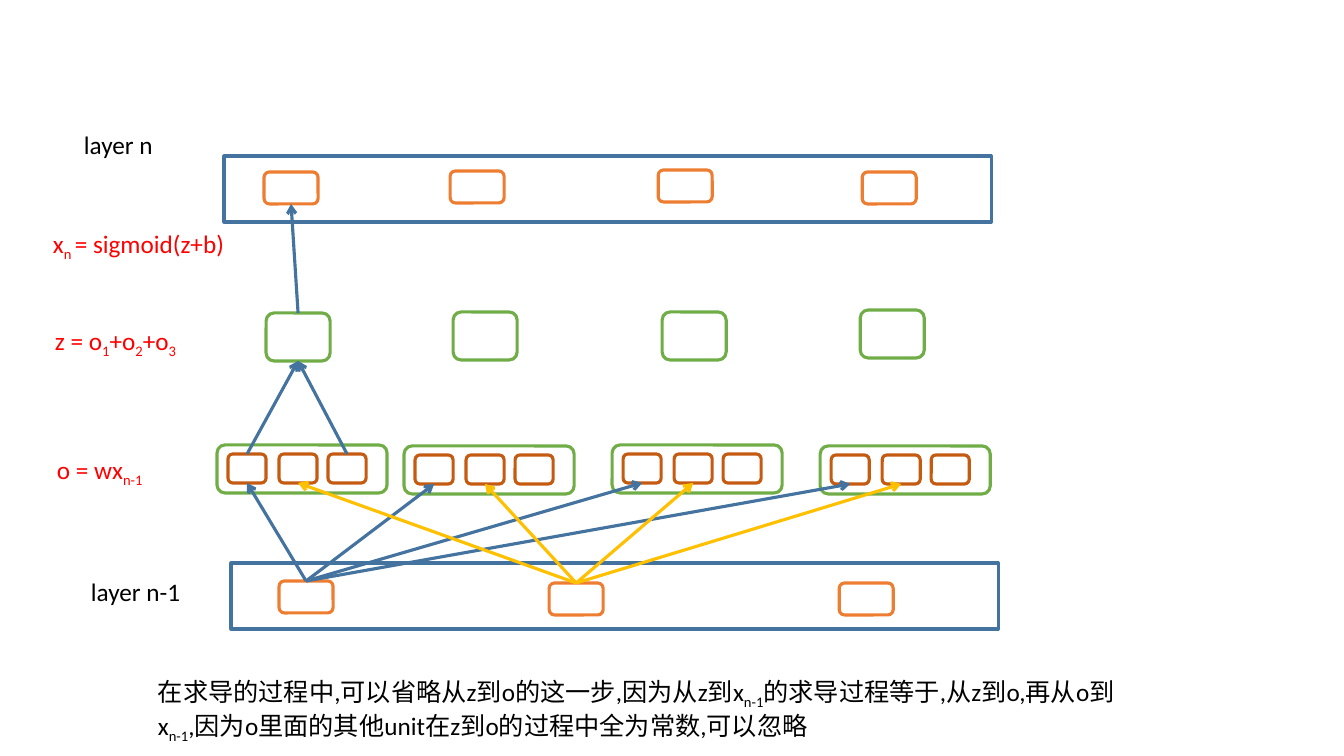
from lxml import etree
from pptx import Presentation
from pptx import util as u
from pptx.dml.color import RGBColor
from pptx.enum import shapes, text
from pptx.oxml.ns import qn

PIXEL = 914400 / 100.8
THEME = {
    "font": "Calibri", "size": 18, "line": 2.25,
    "black": "000000", "red": "FF0000", "blue": "43739E", "yellow": "FFC000",
    "orange": "ED7D31", "brown": "C55A11", "green": "70AD47",
}

# Content: left, top, width, colour, text; "_{...}" marks a subscript
LABELS = [
    (74, 124, 121, "black", "layer n"),
    (81, 571, 131, "black", "layer n-1"),
    (43, 223, 247, "red", "x_{n }= sigmoid(z+b)"),
    (45, 320, 187, "red", "z = o_{1}+o_{2}+o_{3}"),
    (47, 449, 258, "red", "o = wx_{n-1}"),
    (148, 671, 1003, "black",
     "在求导的过程中,可以省略从z到o的这一步,因为从z到x_{n-1}的求导过程等于,从z到o,"
     "再从o到x_{n-1},因为o里面的其他unit在z到o的过程中全为常数,可以忽略"),
]

# Left and top of every part, by row
LAYER_FRAMES = [(224, 156), (231, 563)]
UPPER_UNITS = [(264, 172), (450, 171), (658, 170), (862, 172)]
LOWER_UNITS = [(279, 581), (549, 583), (839, 583)]
SUM_BOXES = [(266, 313), (453, 312), (662, 312), (860, 310)]
PRODUCT_GROUPS = [(217, 445), (404, 446), (612, 445), (820, 446)]
CELL_OFFSETS = [11, 62, 111]
CELL_DROP = 9

FRAME_SIZE, UNIT_SIZE = (767, 66), (54, 32)
SUM_SIZE, GROUP_SIZE, CELL_SIZE = (64, 48), (170, 48), (38, 29)
LABEL_HEIGHT = 42
TOP, BOTTOM = 0, 2  # connection sites

deck = Presentation()
deck.slide_width, deck.slide_height = u.Inches(13.33), u.Inches(7.5)
page = deck.slides.add_slide(deck.slide_layouts[6])


def px(value):
    return u.Emu(round(value * PIXEL))


def color(name):
    return RGBColor.from_string(THEME[name])


def add_outline(place, size, line_color, rounded=True):
    kind = shapes.MSO_SHAPE.ROUNDED_RECTANGLE if rounded else shapes.MSO_SHAPE.RECTANGLE
    box = page.shapes.add_shape(kind, *map(px, (*place, *size)))
    box.shadow.inherit = False
    box.fill.background()
    box.line.color.rgb = color(line_color)
    box.line.width = u.Pt(THEME["line"])
    return box


def add_row(places, size, line_color, rounded=True):
    return [add_outline(place, size, line_color, rounded) for place in places]


def add_arrow(start, start_site, end, end_site, line_color):
    arrow = page.shapes.add_connector(shapes.MSO_CONNECTOR.STRAIGHT, 0, 0, 0, 0)
    arrow.begin_connect(start, start_site)
    arrow.end_connect(end, end_site)
    arrow.line.color.rgb = color(line_color)
    arrow.line.width = u.Pt(THEME["line"])
    etree.SubElement(arrow.line._get_or_add_ln(), qn("a:tailEnd"), type="arrow")
    etree.SubElement(arrow._element.spPr, qn("a:effectLst"))


def add_text(words, *, left, top, width, font_color):
    box = page.shapes.add_textbox(*map(px, (left, top, width, LABEL_HEIGHT)))
    frame = box.text_frame
    frame.word_wrap = True
    frame.auto_size = text.MSO_AUTO_SIZE.SHAPE_TO_FIT_TEXT
    para = frame.paragraphs[0]
    pieces = words.replace("}", "_{").split("_{")
    for index, piece in enumerate(pieces):
        if not piece:
            continue
        span = para.add_run()
        span.text = piece
        span.font.name = THEME["font"]
        span.font.size = u.Pt(THEME["size"])
        span.font.color.rgb = color(font_color)
        if index % 2:
            span._r.get_or_add_rPr().set("baseline", "-25000")


# Layers, sums and products
add_row(LAYER_FRAMES, FRAME_SIZE, "blue", rounded=False)
upper_units = add_row(UPPER_UNITS, UNIT_SIZE, "orange")
lower_units = add_row(LOWER_UNITS, UNIT_SIZE, "orange")
sum_boxes = add_row(SUM_BOXES, SUM_SIZE, "green")
add_row(PRODUCT_GROUPS, GROUP_SIZE, "green")
cells = [
    add_row([(left + offset, top + CELL_DROP) for offset in CELL_OFFSETS], CELL_SIZE, "brown")
    for left, top in PRODUCT_GROUPS
]

# Each of the first two lower units feeds its own cell in every group
for unit_index, arrow_color in enumerate(("blue", "yellow")):
    for group_cells in cells:
        add_arrow(lower_units[unit_index], TOP, group_cells[unit_index], BOTTOM, arrow_color)

# The first group's outer cells lead to its sum, and on to the upper layer
for cell in (cells[0][0], cells[0][2]):
    add_arrow(cell, TOP, sum_boxes[0], BOTTOM, "blue")
add_arrow(sum_boxes[0], TOP, upper_units[0], BOTTOM, "blue")

# Labels and note
for left, top, width, font_color, words in LABELS:
    add_text(words, left=left, top=top, width=width, font_color=font_color)

deck.save("out.pptx")
